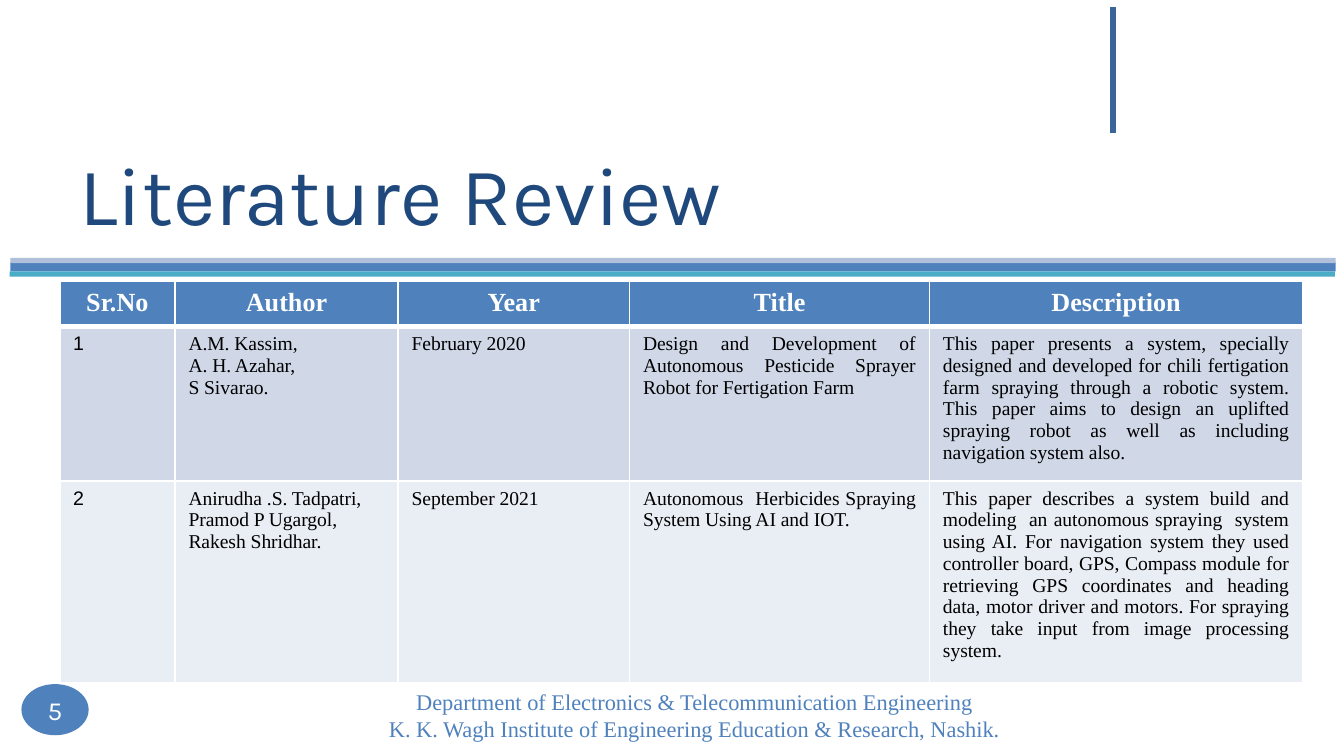
from dataclasses import dataclass

from lxml.etree import SubElement
from pptx import Presentation
from pptx.dml.color import RGBColor
from pptx.enum.shapes import MSO_CONNECTOR, MSO_SHAPE
from pptx.enum.text import MSO_ANCHOR, MSO_AUTO_SIZE, PP_ALIGN
from pptx.oxml.ns import qn
from pptx.util import Pt


@dataclass(frozen=True)
class Theme:
    blue: str = "4F81BD"
    navy: str = "1F497D"
    steel: str = "396599"
    mist: str = "B1C0DA"
    teal: str = "4BACC6"
    white: str = "FFFFFF"
    black: str = "000000"
    bands: tuple = ("D0D8E8", "E9EDF4")
    sans: str = "Karla"
    serif: str = "Times New Roman"
    plain: str = "Arial"
    title: float = 44
    head: float = 14
    foot: float = 12
    body: float = 10.5


THEME = Theme()

HEADS = ["Sr.No", "Author", "Year", "Title", "Description"]
PAPERS = [
    [
        "1",
        "A.M. Kassim,\nA. H. Azahar,\nS Sivarao.",
        "February 2020",
        "Design and Development of Autonomous Pesticide Sprayer Robot "
        "for Fertigation Farm",
        "This paper presents a system, specially designed and developed for "
        "chili fertigation farm spraying through a robotic system. This paper "
        "aims to design an uplifted spraying robot as well as including "
        "navigation system also.",
    ],
    [
        "2",
        "Anirudha .S. Tadpatri,\nPramod P Ugargol,\nRakesh Shridhar.",
        "September 2021",
        "Autonomous  Herbicides Spraying System Using AI and IOT.",
        "This paper describes a system build and modeling  an autonomous "
        "spraying  system using AI. For navigation system they used "
        "controller board, GPS, Compass module for retrieving GPS coordinates "
        "and heading data, motor driver and motors. For spraying they take "
        "input from image processing system.",
    ],
]
WIDTHS = [61.8, 119.5, 124, 160.7, 200]
HEIGHTS = [23.8, 82.8, 105.8]
FOOTER = (
    "Department of Electronics & Telecommunication Engineering\n"
    "K. K. Wagh Institute of Engineering Education & Research, Nashik."
)


def points(*values):
    return [Pt(value) for value in values]


def write(frame, text, size, color, face, align=PP_ALIGN.LEFT, bold=False):
    frame.text = text
    for para in frame.paragraphs:
        para.alignment = align
        para.font.size = Pt(size)
        para.font.name = face
        para.font.bold = bold
        para.font.color.rgb = RGBColor.from_string(color)


def pad(frame, left, top, right, bottom):
    frame.margin_left, frame.margin_top = points(left, top)
    frame.margin_right, frame.margin_bottom = points(right, bottom)


def add_block(slide, kind, box, color):
    shape = slide.shapes.add_shape(kind, *points(*box))
    shape.shadow.inherit = False
    shape.fill.solid()
    shape.fill.fore_color.rgb = RGBColor.from_string(color)
    shape.line.fill.background()
    return shape


def add_title(slide, text):
    title = slide.shapes.title
    title.left, title.top, title.width, title.height = points(35.3, 36.7, 514, 100)
    frame = title.text_frame
    frame.auto_size = MSO_AUTO_SIZE.NONE
    frame.vertical_anchor = MSO_ANCHOR.BOTTOM
    pad(frame, 7.2, 3.6, 7.2, 7.2)
    write(frame, text, THEME.title, THEME.navy, THEME.sans)


def add_rule(slide, x, top, end):
    rule = slide.shapes.add_connector(
        MSO_CONNECTOR.STRAIGHT, *points(x, top, x, end))
    rule.line.width = Pt(3)
    rule.line.color.rgb = RGBColor.from_string(THEME.steel)
    SubElement(rule._element.spPr, qn("a:effectLst"))


def add_footer(slide, text):
    box = slide.shapes.add_textbox(*points(47.5, 372.2, 649.4, 21.6))
    frame = box.text_frame
    frame.word_wrap = True
    frame.vertical_anchor = MSO_ANCHOR.MIDDLE
    write(frame, text, THEME.foot, THEME.blue, THEME.serif, PP_ALIGN.CENTER)


def add_badge(slide, text):
    badge = add_block(slide, MSO_SHAPE.OVAL, (11.5, 366.5, 36, 27.4), THEME.blue)
    frame = badge.text_frame
    frame.vertical_anchor = MSO_ANCHOR.MIDDLE
    pad(frame, 0, 0, 0, 0)
    write(frame, text, THEME.head, THEME.white, THEME.sans, PP_ALIGN.CENTER)


def set_edges(cell, top, bottom):
    props = cell._tc.get_or_add_tcPr()
    for side, width in (("L", 1), ("R", 1), ("T", top), ("B", bottom)):
        edge = SubElement(props, qn(f"a:ln{side}"), w=str(Pt(width)))
        fill = SubElement(edge, qn("a:solidFill"))
        SubElement(fill, qn("a:srgbClr"), val=THEME.white)


def fill_cell(cell, text, row, col):
    set_edges(cell, 3 if row == 1 else 1, 3 if row == 0 else 1)
    cell.fill.solid()
    color = THEME.blue if row == 0 else THEME.bands[(row - 1) % 2]
    cell.fill.fore_color.rgb = RGBColor.from_string(color)
    frame = cell.text_frame
    if row == 0:
        write(frame, text, THEME.head, THEME.white, THEME.serif,
              PP_ALIGN.CENTER, True)
    else:
        face = THEME.plain if col == 0 else THEME.serif
        align = PP_ALIGN.JUSTIFY if col > 2 else PP_ALIGN.LEFT
        write(frame, text, THEME.body, THEME.black, face, align)


def add_grid(slide, rows):
    box = points(32, 150.8, sum(WIDTHS), sum(HEIGHTS))
    table = slide.shapes.add_table(len(rows), len(WIDTHS), *box).table
    for column, width in zip(table.columns, WIDTHS):
        column.width = Pt(width)
    for line, height in zip(table.rows, HEIGHTS):
        line.height = Pt(height)
    for row, texts in enumerate(rows):
        for col, text in enumerate(texts):
            fill_cell(table.cell(row, col), text, row, col)


def main():
    deck = Presentation()
    deck.slide_width, deck.slide_height = points(720, 405)
    slide = deck.slides.add_slide(deck.slide_layouts[5])
    bars = [
        (5.6, 140.4, 5, THEME.blue),
        (5.6, 138.2, 2.8, THEME.mist),
        (5.2, 145.4, 2.8, THEME.teal),
    ]
    for left, top, height, color in bars:
        add_block(slide, MSO_SHAPE.RECTANGLE, (left, top, 710, height), color)
    add_title(slide, "Literature Review")
    add_footer(slide, FOOTER)
    add_badge(slide, "5")
    add_rule(slide, 596.2, 3.6, 71.3)
    add_grid(slide, [HEADS, *PAPERS])
    deck.save("out.pptx")


if __name__ == "__main__":
    main()
